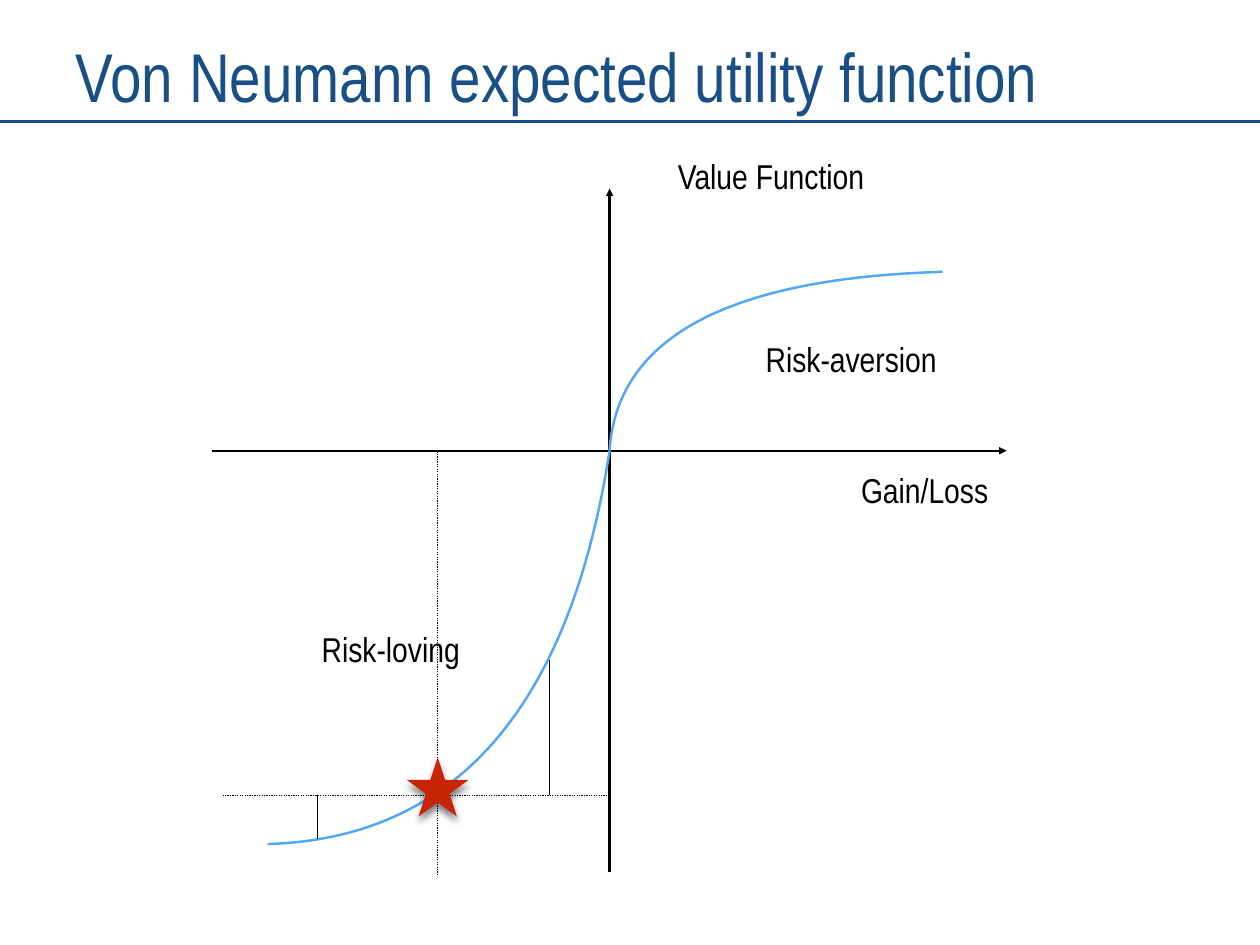
from dataclasses import dataclass

from lxml import etree
from pptx import Presentation
from pptx import util as u
from pptx.dml.color import RGBColor
from pptx.enum import dml, shapes, text
from pptx.oxml.ns import qn


@dataclass(frozen=True)
class Theme:
    font: str = "Arial Narrow"
    title_size: int = 56
    label_size: int = 28
    navy: str = "174F86"
    ink: str = "000000"
    curve: str = "51A8F9"
    star: str = "C82506"
    thin: int = 1
    thick: int = 2


def write(sp, words, font, size, color):
    """Fill a shape with one centred line of text."""
    tf = sp.text_frame
    tf.word_wrap = True
    tf.auto_size = text.MSO_AUTO_SIZE.NONE
    tf.vertical_anchor = text.MSO_ANCHOR.MIDDLE
    tf.margin_left = tf.margin_right = u.Inches(0.03)
    tf.margin_top = tf.margin_bottom = u.Inches(0.03)
    p = tf.paragraphs[0]
    p.alignment = text.PP_ALIGN.CENTER
    r = p.add_run()
    r.text = words
    r.font.name = font
    r.font.size = u.Pt(size)
    r.font.color.rgb = RGBColor.from_string(color)


def bezier(points, steps=60):
    """Return points along a cubic curve given its four control points."""
    def at(t):
        weights = ((1 - t) ** 3, 3 * t * (1 - t) ** 2, 3 * t * t * (1 - t), t ** 3)
        return tuple(sum(w * c for w, c in zip(weights, axis)) for axis in zip(*points))
    return [at(i / steps) for i in range(steps + 1)]


class Board:
    """Draws on one slide; lengths are percent of its width and height."""

    def __init__(self, prs, theme):
        self.theme = theme
        self.width, self.height = prs.slide_width, prs.slide_height
        self.s = prs.slides.add_slide(prs.slide_layouts[5])

    def place(self, x, y):
        return round(x * self.width / 100), round(y * self.height / 100)

    def stroke(self, sp, color, width):
        sp.line.color.rgb = RGBColor.from_string(color)
        sp.line.width = u.Pt(width)

    def title(self, words, x, y, w, h):
        sp = self.s.shapes.title
        sp.left, sp.top = self.place(x, y)
        sp.width, sp.height = self.place(w, h)
        write(sp, words, font=self.theme.font, size=self.theme.title_size,
              color=self.theme.navy)

    def label(self, words, cx, cy, w=28, h=8.34):
        sp = self.s.shapes.add_textbox(*self.place(cx - w / 2, cy - h / 2),
                                       *self.place(w, h))
        write(sp, words, font=self.theme.font, size=self.theme.label_size,
              color=self.theme.ink)

    def line(self, start, end, color=None, width=None, dotted=False, arrow=False):
        sp = self.s.shapes.add_connector(shapes.MSO_CONNECTOR.STRAIGHT,
                                         *self.place(*start), *self.place(*end))
        self.stroke(sp, color or self.theme.ink, width or self.theme.thin)
        if dotted:
            sp.line.dash_style = dml.MSO_LINE.ROUND_DOT
        if arrow:
            etree.SubElement(sp.line._get_or_add_ln(), qn("a:tailEnd"), type="triangle")
        etree.SubElement(sp._element.spPr, qn("a:effectLst"))

    def curve(self, *controls):
        first, *rest = [self.place(*point) for point in bezier(controls)]
        builder = self.s.shapes.build_freeform(*first)
        builder.add_line_segments(rest, close=False)
        sp = builder.convert_to_shape()
        sp.fill.background()
        sp.shadow.inherit = False
        self.stroke(sp, self.theme.curve, self.theme.thick)

    def star(self, cx, cy, w, h):
        sp = self.s.shapes.add_shape(shapes.MSO_SHAPE.STAR_5_POINT,
                                     *self.place(cx - w / 2, cy - h / 2),
                                     *self.place(w, h))
        sp.fill.solid()
        sp.fill.fore_color.rgb = RGBColor.from_string(self.theme.star)
        sp.line.fill.background()
        sp.shadow.inherit = False
        effects = sp._element.spPr.find(qn("a:effectLst"))
        shadow = etree.SubElement(effects, qn("a:outerShdw"), blurRad=str(u.Pt(6)),
                                  dist=str(u.Pt(4.6)), dir="5400000", rotWithShape="0")
        color = etree.SubElement(shadow, qn("a:srgbClr"), val=self.theme.ink)
        etree.SubElement(color, qn("a:alpha"), val="50000")


def main():
    prs = Presentation()
    prs.slide_width, prs.slide_height = u.Inches(14.22), u.Inches(10.67)
    theme = Theme()
    board = Board(prs, theme)

    zero_x, zero_y = 48.38, 47.7
    loss_x, loss_y = 34.74, 84.16

    board.line((loss_x, 92.6), (loss_x, zero_y), dotted=True)
    board.line((zero_x, loss_y), (17.65, loss_y), dotted=True)

    board.title("Von Neumann expected utility function", 0, 3.28, 88.4, 9.37)
    board.line((0, 12.84), (100, 12.84), color=theme.navy, width=theme.thick)

    board.line((16.81, zero_y), (79.89, zero_y), width=theme.thick, arrow=True)
    board.line((zero_x, 92.31), (zero_x, 19.96), width=theme.thick, arrow=True)

    board.curve((zero_x, zero_y), (45.22, 74.88), (36.15, 88.75), (21.24, 89.32))
    board.curve((zero_x, zero_y), (48.95, 35.71), (57.81, 29.43), (74.82, 28.77))

    for words, cx, cy in (("Gain/Loss", 73.38, 51.87),
                          ("Value Function", 61.18, 18.6),
                          ("Risk-aversion", 67.55, 38),
                          ("Risk-loving", 31.01, 68.65)):
        board.label(words, cx, cy)

    board.star(loss_x, 83.27, 4.92, 6.28)
    for x, curve_y in ((25.18, 88.75), (43.6, 69.82)):
        board.line((x, loss_y), (x, curve_y))

    prs.save("out.pptx")


if __name__ == "__main__":
    main()
